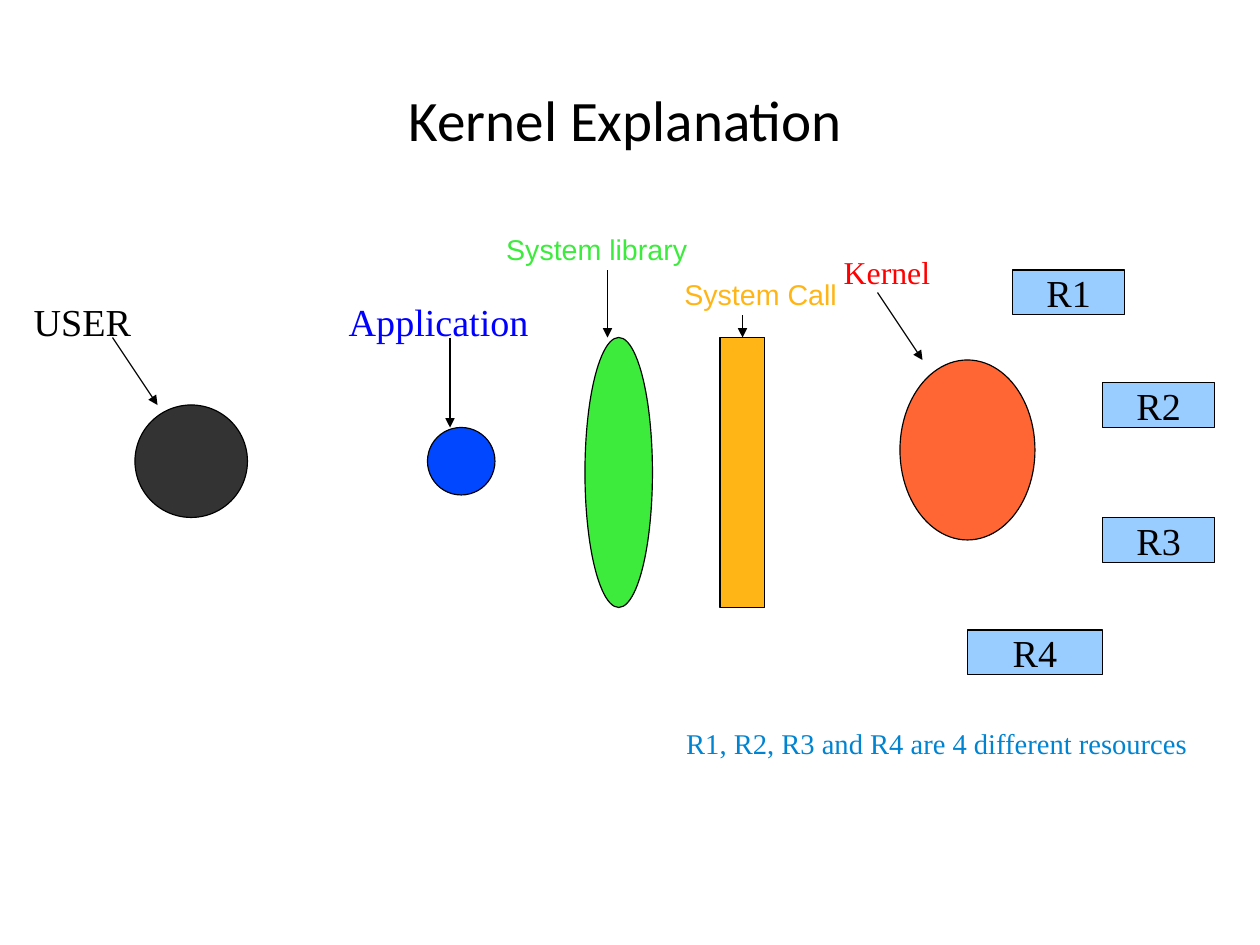
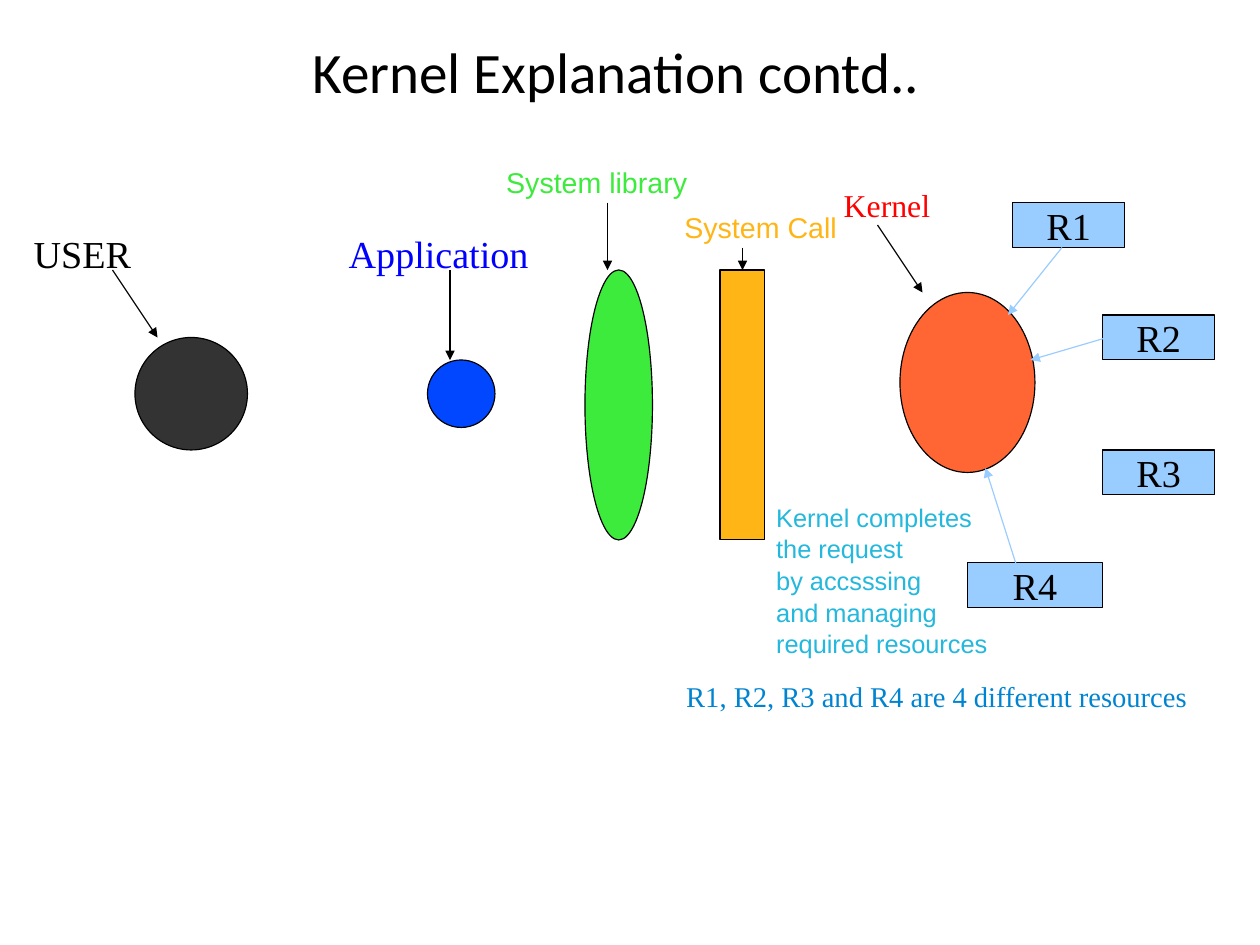
from lxml import etree
from pptx import Presentation
from pptx.dml.color import RGBColor
from pptx.enum.shapes import MSO_CONNECTOR, MSO_SHAPE
from pptx.enum.text import MSO_ANCHOR, MSO_AUTO_SIZE, PP_ALIGN
from pptx.oxml.ns import qn
from pptx.util import Cm, Pt

OVAL, RECT = MSO_SHAPE.OVAL, MSO_SHAPE.RECTANGLE
STRAIGHT = MSO_CONNECTOR.STRAIGHT
MIDDLE, CENTER, LEFT = MSO_ANCHOR.MIDDLE, PP_ALIGN.CENTER, PP_ALIGN.LEFT
NO_FIT = MSO_AUTO_SIZE.NONE
SERIF, SANS, TITLE_FONT = "Times New Roman", "Arial", "Calibri"
TITLE_ONLY = 5

COLORS = {
    "black": "000000", "user": "333333", "application": "0047FF",
    "application text": "0000FF", "kernel": "FF6633", "kernel text": "FF0000",
    "library": "3DEB3D", "call": "FFB515", "resource": "99CCFF",
    "note": "0084D1", "request": "23B8DC",
}

PARTS = [
    (OVAL, "user", (3, 9, 2.5, 2.5), ""),
    (OVAL, "application", (9.5, 9.5, 1.5, 1.5), ""),
    (OVAL, "kernel", (20, 8, 3, 4), ""),
    (RECT, "resource", (22.5, 6, 2.5, 1), "R1"),
    (RECT, "resource", (24.5, 8.5, 2.5, 1), "R2"),
    (RECT, "resource", (24.5, 11.5, 2.5, 1), "R3"),
    (RECT, "resource", (21.5, 14, 3, 1), "R4"),
    (OVAL, "library", (13, 7.5, 1.5, 6), ""),
    (RECT, "call", (16, 7.5, 1, 6), ""),
]
LABELS = [
    ("USER", (0.5, 6.5, 2.8, 1.04), SERIF, 24, "black", 1),
    ("Application", (7.5, 6.5, 4.6, 1.04), SERIF, 24, "application text", 1),
    ("Kernel", (18.5, 5.5, 2.54, 1.12), SERIF, 20, "kernel text", 1),
    ("System library", (11, 5, 4.6, 1.04), SANS, 18, "library", 1.04),
    ("System Call", (14.96, 6, 4, 1.04), SANS, 18, "call", 1.04),
]
LABEL_ARROWS = [
    (2.5, 7.5, 3.5, 9),
    (10, 7.5, 10, 9.5),
    (19.5, 6.5, 20.5, 8),
    (13.5, 6, 13.5, 7.5),
    (16.5, 7, 16.5, 7.5),
]
NOTE = "R1, R2, R3 and R4 are 4 different resources"
REQUEST = "\n".join([
    "Kernel completes", "the request", "by accsssing",
    "and managing", "required resources",
])
RESOURCE_ARROWS = [
    (23.6, 5.5, 22.4, 7),
    (24.6, 7.5, 22.9, 8),
    (22.6, 12.6, 21.9, 10.4),
]
SLIDES = [
    {"title": "Kernel Explanation", "title area": (1.1, 1.2, 25.6, 2.74),
     "rise": 0, "note top": 16, "arrows": [], "texts": []},
    {"title": "Kernel Explanation contd..", "title area": (1.88, 0.69, 23.62, 1.65),
     "rise": 1.5, "note top": 14.96, "arrows": RESOURCE_ARROWS,
     "texts": [(REQUEST, (17, 11, 5.4, 3.76), SANS, 16, "request", 1.04)]},
]


def color(name):
    return RGBColor.from_string(COLORS[name])


def lift(area, rise):
    left, top, width, height = area
    return left, top - rise, width, height


def write(shape, text, font, size, tint, align=LEFT, spacing=1):
    frame = shape.text_frame
    frame.text = text
    for para in frame.paragraphs:
        para.alignment = align
        para.line_spacing = spacing
        for span in para.runs:
            span.font.name = font
            span.font.size = Pt(size)
            span.font.color.rgb = color(tint)


def add_title(page, text, area):
    title = page.shapes.title
    title.left, title.top, title.width, title.height = map(Cm, area)
    frame = title.text_frame
    frame.margin_left = frame.margin_right = 0
    frame.margin_top = frame.margin_bottom = 0
    frame.vertical_anchor = MIDDLE
    frame.auto_size = NO_FIT
    write(title, text, TITLE_FONT, 36, "black", CENTER, 1.08)


def add_part(page, kind, fill, area, text):
    part = page.shapes.add_shape(kind, *map(Cm, area))
    part.shadow.inherit = False
    part.fill.solid()
    part.fill.fore_color.rgb = color(fill)
    part.line.color.rgb = color("black")
    part.line.width = Pt(0.75)
    if text:
        part.text_frame.word_wrap = False
        part.text_frame.vertical_anchor = MIDDLE
        write(part, text, SERIF, 24, "black", CENTER)


def add_label(page, text, area, font, size, tint, spacing):
    box = page.shapes.add_textbox(*map(Cm, area))
    box.text_frame.word_wrap = True
    write(box, text, font, size, tint, spacing=spacing)


def add_arrow(page, ends, tint):
    arrow = page.shapes.add_connector(STRAIGHT, *map(Cm, ends))
    arrow.line.color.rgb = color(tint)
    arrow.line.width = Pt(0.75)
    properties = arrow.element.spPr
    etree.SubElement(properties.find(qn("a:ln")), qn("a:tailEnd"), type="triangle")
    etree.SubElement(properties, qn("a:effectLst"))


def add_diagram(page, rise):
    for kind, fill, area, text in PARTS:
        add_part(page, kind, fill, lift(area, rise), text)
    for x1, y1, x2, y2 in LABEL_ARROWS:
        add_arrow(page, (x1, y1 - rise, x2, y2 - rise), "black")
    for text, area, *style in LABELS:
        add_label(page, text, lift(area, rise), *style)


def main():
    deck = Presentation()
    deck.slide_width, deck.slide_height = Cm(28), Cm(21)
    for content in SLIDES:
        page = deck.slides.add_slide(deck.slide_layouts[TITLE_ONLY])
        add_title(page, content["title"], content["title area"])
        add_diagram(page, content["rise"])
        add_label(page, NOTE, (15, content["note top"], 12.9, 1.04), SERIF, 18, "note", 1)
        for ends in content["arrows"]:
            add_arrow(page, ends, "resource")
        for label in content["texts"]:
            add_label(page, *label)
    deck.save("out.pptx")


if __name__ == "__main__":
    main()
